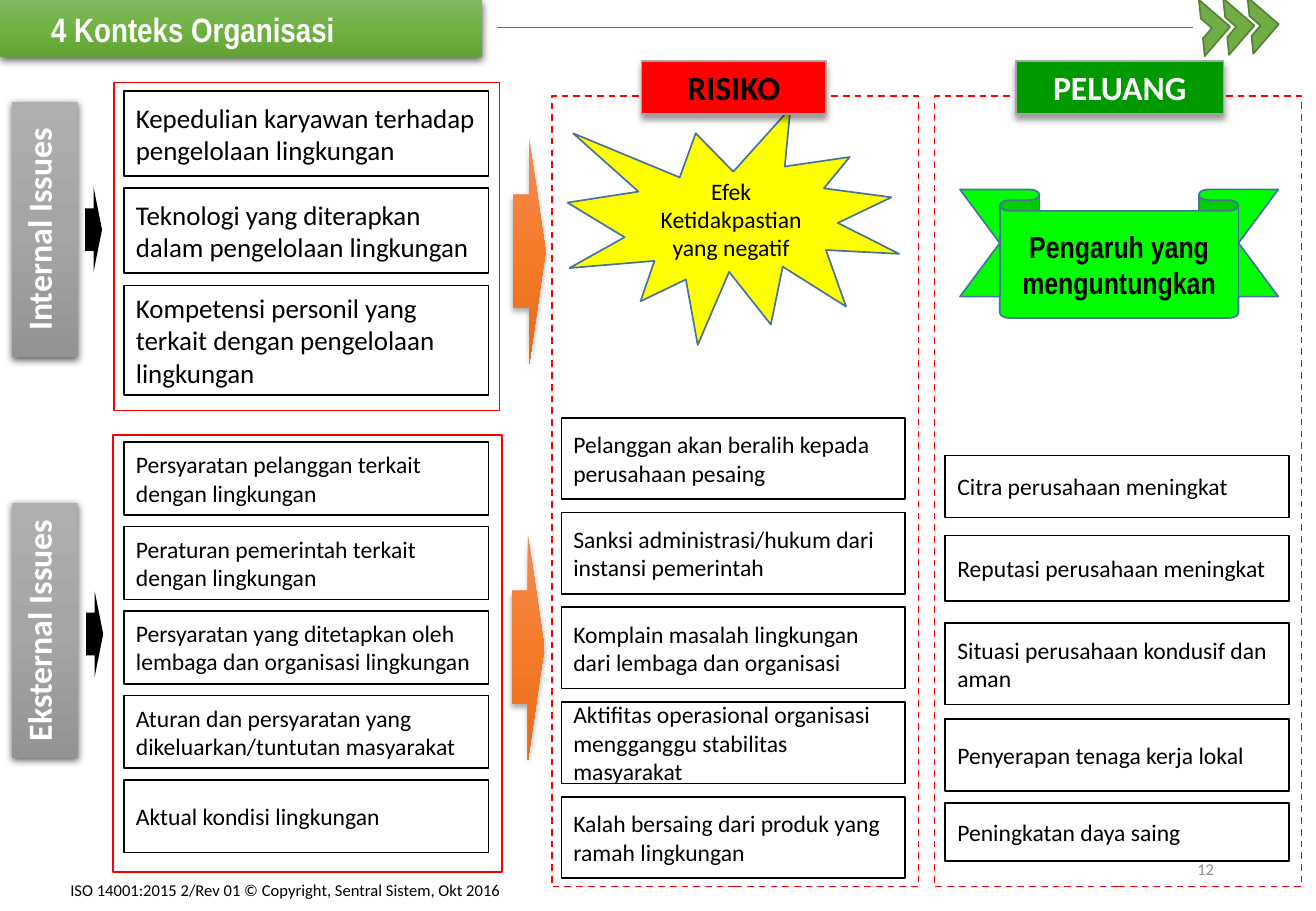
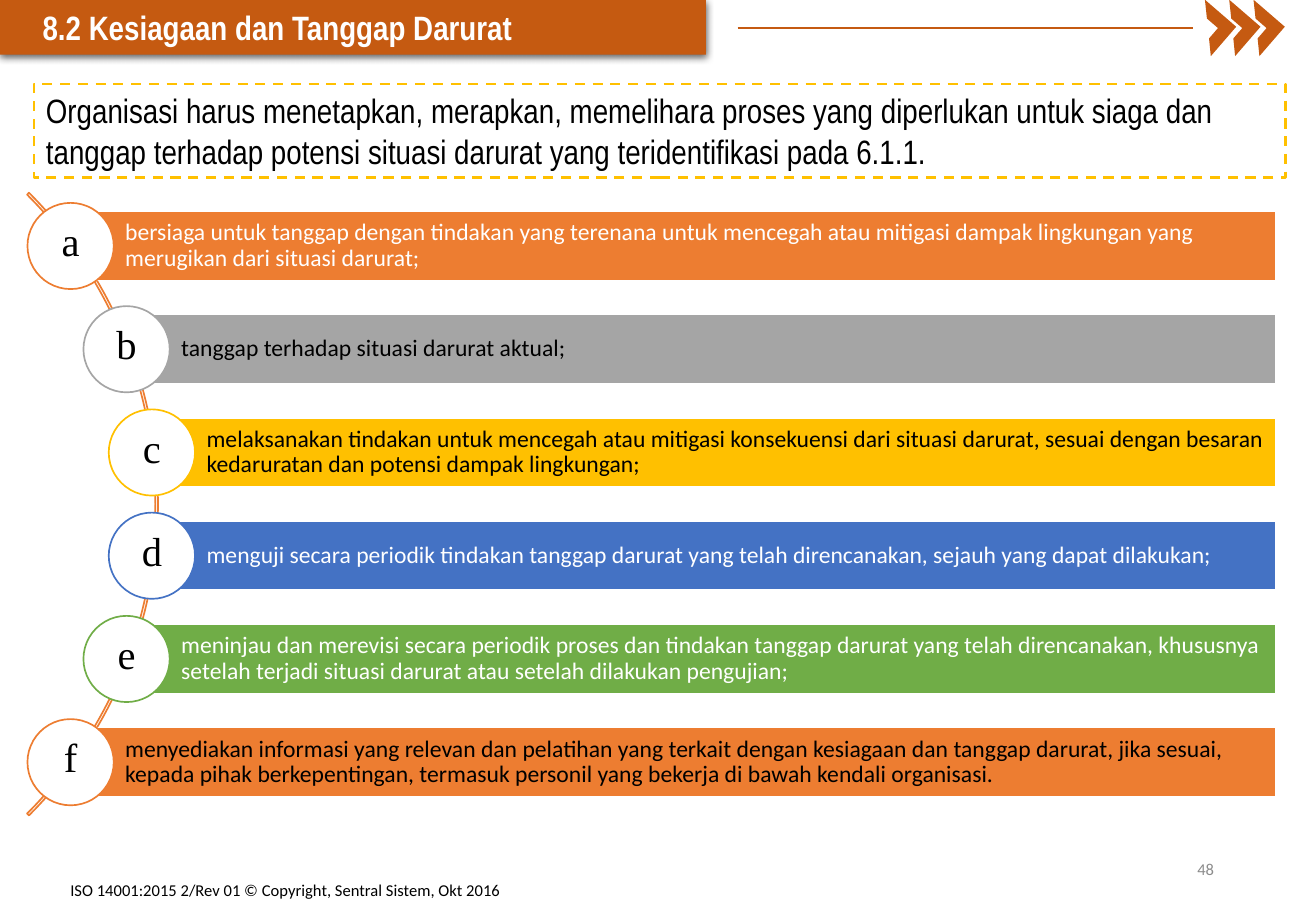
from math import sqrt

from lxml import etree
from pptx import Presentation
from pptx import util as u
from pptx.dml.color import RGBColor
from pptx.enum import dml, shapes, text
from pptx.oxml.ns import qn

Inches, Pt = u.Inches, u.Pt
Kind = shapes.MSO_SHAPE
Side = text.PP_ALIGN
Mid = text.MSO_ANCHOR.MIDDLE
Top = text.MSO_ANCHOR.TOP

WHITE = RGBColor(255, 255, 255)
BLACK = RGBColor(0, 0, 0)
RED = RGBColor(255, 0, 0)
YELLOW = RGBColor(255, 255, 0)
LIME = RGBColor(0, 255, 0)
EMERALD = RGBColor(0, 0x99, 0)
GREEN = RGBColor(0x70, 0xAD, 0x47)
MOSS = RGBColor(0x54, 0x82, 0x35)
RUST = RGBColor(0xC5, 0x5A, 0x11)
ORANGE = RGBColor(0xED, 0x7D, 0x31)
GREY = RGBColor(0xA5, 0xA5, 0xA5)
DIM = RGBColor(0x8C, 0x8C, 0x8C)
GOLD = RGBColor(0xFF, 0xC0, 0)
BLUE = RGBColor(0x44, 0x72, 0xC4)
STEEL = RGBColor(0x43, 0x73, 0x9E)

GREY_FADE = ("AFAFAF", "A5A5A5", "939393")
GREEN_FADE = ("81B861", "6FB242", "62A336")
ORANGE_FADE = ("F18C57", "F67B28", "E56C19")
DEEP = (63, 4.5, 1.5)
SOFT = (32, 3.5, 2.2)
TAG = (40, 4, 3)
NARROW = "Arial Narrow"
SERIF = "Times New Roman"

FOOT = "ISO 14001:2015 2/Rev 01 © Copyright, Sentral Sistem, Okt 2016"

INNER = [
    "Kepedulian karyawan terhadap pengelolaan lingkungan",
    "Teknologi yang diterapkan dalam pengelolaan lingkungan",
    "Kompetensi personil yang terkait dengan pengelolaan lingkungan",
]
OUTER = [
    "Persyaratan pelanggan terkait dengan lingkungan",
    "Peraturan pemerintah terkait dengan lingkungan",
    "Persyaratan yang ditetapkan oleh lembaga dan organisasi lingkungan",
    "Aturan dan persyaratan yang dikeluarkan/tuntutan masyarakat",
    "Aktual kondisi lingkungan",
]
RISKS = [
    "Pelanggan akan beralih kepada perusahaan pesaing",
    "Sanksi administrasi/hukum dari instansi pemerintah",
    "Komplain masalah lingkungan dari lembaga dan organisasi",
    "Aktifitas operasional organisasi mengganggu stabilitas masyarakat",
    "Kalah bersaing dari produk yang ramah lingkungan",
]
CHANCES = [
    "Citra perusahaan meningkat",
    "Reputasi perusahaan meningkat",
    "Situasi perusahaan kondusif dan aman",
    "Penyerapan tenaga kerja lokal",
    "Peningkatan daya saing",
]
DUTY = ("Organisasi harus menetapkan, merapkan, memelihara proses yang diperlukan untuk siaga dan "
        "tanggap terhadap potensi situasi darurat yang teridentifikasi pada 6.1.1.")
STEPS = [
    ("a", ORANGE, WHITE, "bersiaga untuk tanggap dengan tindakan yang terenana untuk mencegah atau "
     "mitigasi dampak lingkungan yang merugikan dari situasi darurat;"),
    ("b", GREY, BLACK, "tanggap terhadap situasi darurat aktual;"),
    ("c", GOLD, BLACK, "melaksanakan tindakan untuk mencegah atau mitigasi konsekuensi dari situasi "
     "darurat, sesuai dengan besaran kedaruratan dan potensi dampak lingkungan;"),
    ("d", BLUE, WHITE, "menguji secara periodik tindakan tanggap darurat yang telah direncanakan, "
     "sejauh yang dapat dilakukan;"),
    ("e", GREEN, WHITE, "meninjau dan merevisi secara periodik proses dan tindakan tanggap darurat "
     "yang telah direncanakan, khususnya setelah terjadi situasi darurat atau setelah dilakukan "
     "pengujian;"),
    ("f", ORANGE, BLACK, "menyediakan informasi yang relevan dan pelatihan yang terkait dengan "
     "kesiagaan dan tanggap darurat, jika sesuai, kepada pihak berkepentingan, termasuk personil "
     "yang bekerja di bawah kendali organisasi."),
]


def put(shape, words, size=14, font="Calibri", color=BLACK, bold=False, align=Side.LEFT,
        anchor=Mid, pad=(0.1, 0.05, 0.1, 0.05), lead=None, wrap=True, turn=False):
    frame = shape.text_frame
    frame.word_wrap = wrap
    frame.auto_size = text.MSO_AUTO_SIZE.NONE
    frame.vertical_anchor = anchor
    (frame.margin_left, frame.margin_top,
     frame.margin_right, frame.margin_bottom) = map(Inches, pad)
    if turn:
        frame._txBody.bodyPr.set("vert", "vert270")
    para = frame.paragraphs[0]
    para.alignment = align
    if lead:
        para.line_spacing = lead
    run = para.add_run()
    run.text = words
    face = run.font
    face.name, face.size, face.bold = font, Pt(size), bold
    face.color.rgb = color


def paint(shape, fill):
    if fill is None:
        shape.fill.background()
    elif isinstance(fill, RGBColor):
        shape.fill.solid()
        shape.fill.fore_color.rgb = fill
    else:
        shape.fill.gradient()
        shape.fill.gradient_angle = 270
        stops = shape._element.spPr.find(".//" + qn("a:gsLst"))
        for old in list(stops):
            stops.remove(old)
        for i, tone in enumerate(fill):
            stop = etree.SubElement(stops, qn("a:gs"), pos=str(i * 50000))
            etree.SubElement(stop, qn("a:srgbClr"), val=tone)


def shade(shape, glow):
    shape.shadow.inherit = False
    if glow:
        alpha, blur, dist = glow
        effect = shape._element.spPr.find(qn("a:effectLst"))
        cast = etree.SubElement(effect, qn("a:outerShdw"), blurRad=str(Pt(blur)),
                                dist=str(Pt(dist)), dir="5400000", rotWithShape="0")
        tone = etree.SubElement(cast, qn("a:srgbClr"), val="000000")
        etree.SubElement(tone, qn("a:alpha"), val=str(alpha * 1000))


def draw(page, kind, spot, fill=None, line=None, width=1, dash=False, glow=None):
    shape = page.shapes.add_shape(kind, *map(Inches, spot))
    paint(shape, fill)
    if line is None:
        shape.line.fill.background()
    else:
        shape.line.color.rgb = line
        shape.line.width = Pt(width)
        if dash:
            shape.line.dash_style = dml.MSO_LINE.DASH
    shade(shape, glow)
    return shape


def label(page, spot, words, **form):
    put(page.shapes.add_textbox(*map(Inches, spot)), words, **form)


def start(deck, words, number, size, indent, fill, rule, marks):
    page = deck.slides.add_slide(deck.slide_layouts[5])
    title = page.shapes.title
    title.left = title.top = 0
    title.width, title.height = map(Inches, size)
    paint(title, fill)
    shade(title, DEEP)
    put(title, words, size=20, font=NARROW, color=WHITE, bold=True,
        pad=(0.1 + indent, 0.05, 0.1, 0.05))
    left, tone, width = rule
    ends = [Inches(n) for n in (left, 0.23, 9.82, 0.23)]
    bar = page.shapes.add_connector(shapes.MSO_CONNECTOR.STRAIGHT, *ends)
    bar.line.color.rgb = tone
    bar.line.width = Pt(width)
    etree.SubElement(bar._element.spPr, qn("a:effectLst"))
    left, rise, tone, edge = marks
    for i in range(3):
        mark = draw(page, Kind.HALF_FRAME, (left + 0.2 * i, 0.06 - rise * i, 0.32, 0.34),
                    tone, edge)
        mark.rotation = 130.8
    label(page, (0.48, 7.23, 5.78, 0.19), FOOT, size=9.8)
    label(page, (7.65, 6.95, 2.44, 0.4), number, size=9.8, color=DIM, align=Side.RIGHT)
    return page


def spread(top, step, count):
    return [top + step * i for i in range(count)]


def context(deck):
    page = start(deck, "4 Konteks Organisasi", "12", (3.97, 0.47), 0.32, GREEN_FADE,
                 (4.09, MOSS, 0.5), (9.73, 0.01, GREEN, MOSS))
    for spot, dash in [((0.94, 0.68, 3.17, 2.7), False), ((0.93, 3.58, 3.2, 3.6), False),
                       ((4.54, 0.79, 3.02, 6.51), True), ((7.69, 0.79, 3.02, 6.51), True)]:
        draw(page, Kind.RECTANGLE, spot, line=RED, dash=dash)

    for words, top, small, big in [("Internal Issues", 0.84, (0.7, 1.54), (4.22, 1.14)),
                                   ("Eksternal Issues", 4.14, (0.71, 4.87), (4.21, 4.4))]:
        band = draw(page, Kind.RECTANGLE, (0.1, top, 0.54, 2.1), GREY_FADE, glow=DEEP)
        put(band, words, size=20, color=WHITE, bold=True, align=Side.CENTER, anchor=Top, turn=True)
        draw(page, Kind.RIGHT_ARROW, (*small, 0.14, 0.7), BLACK)
        draw(page, Kind.RIGHT_ARROW, (*big, 0.27, 1.86), ORANGE_FADE, glow=SOFT)

    stacks = [
        (1.02, 3, 16, spread(0.75, 0.8, 3), [0.7, 0.7, 0.9], INNER),
        (1.02, 3, 14, spread(3.64, 0.695, 5), [0.6] * 5, OUTER),
        (4.62, 2.83, 14, spread(3.44, 0.78, 5), [0.67] * 5, RISKS),
        (7.78, 2.83, 14, [3.75, 4.41, 5.13, 5.92, 6.61], [0.51, 0.54, 0.67, 0.59, 0.48], CHANCES),
    ]
    for left, width, size, tops, highs, items in stacks:
        for top, high, words in zip(tops, highs, items):
            card = draw(page, Kind.RECTANGLE, (left, top, width, high), WHITE, BLACK)
            put(card, words, size=size)

    burst = draw(page, Kind.EXPLOSION1, (4.67, 0.89, 2.73, 1.95), YELLOW, STEEL)
    put(burst, "Efek Ketidakpastian yang negatif", align=Side.CENTER)
    ribbon = draw(page, Kind.DOWN_RIBBON, (7.9, 1.56, 2.62, 1.06), LIME, STEEL)
    ribbon.adjustments[0], ribbon.adjustments[1] = 0.167, 0.75
    put(ribbon, "Pengaruh yang menguntungkan", size=18, font=NARROW, bold=True,
        align=Side.CENTER)
    for words, left, width, fill, color in [("RISIKO", 5.28, 1.52, RED, BLACK),
                                            ("PELUANG", 8.36, 1.71, EMERALD, WHITE)]:
        tag = draw(page, Kind.RECTANGLE, (left, 0.5, width, 0.44), fill, GREY, glow=TAG)
        put(tag, words, size=20, color=color, bold=True, align=Side.CENTER, anchor=Top)


def alert(deck):
    page = start(deck, "8.2 Kesiagaan dan Tanggap Darurat", "48", (5.81, 0.45), 0.25, RUST,
                 (6.07, RUST, 1.5), (9.78, 0, RUST, None))
    duty = draw(page, Kind.RECTANGLE, (0.28, 0.69, 10.3, 0.77), line=GOLD, width=1.5, dash=True)
    put(duty, DUTY, size=20, font=NARROW, anchor=Top)

    mid_x, mid_y, orbit, size = -2.325, 4.15, 3.6, 7.25
    arc = draw(page, Kind.BLOCK_ARC, (mid_x - size / 2, mid_y - size / 2, size, size), line=ORANGE)
    for i, value in enumerate((189, 27, 0.003)):
        arc.adjustments[i] = value

    step, high, disc, right = 0.85, 0.57, 0.71, 10.5
    for i, (letter, tone, color, words) in enumerate(STEPS):
        rise = (i - (len(STEPS) - 1) / 2) * step
        x, y = mid_x + sqrt(orbit ** 2 - rise ** 2), mid_y + rise
        bar = draw(page, Kind.RECTANGLE, (x, y - high / 2, right - x, high), tone, WHITE)
        put(bar, words, color=color, pad=(0.45, 0.04, 0.04, 0.04), lead=0.9)
        dot = draw(page, Kind.OVAL, (x - disc / 2, y - disc / 2, disc, disc), WHITE, tone)
        put(dot, letter, size=24, font=SERIF, align=Side.CENTER, pad=(0, 0, 0, 0.09), wrap=False)


def main():
    deck = Presentation()
    deck.slide_width, deck.slide_height = Inches(10.83), Inches(7.5)
    context(deck)
    alert(deck)
    deck.save("out.pptx")


if __name__ == "__main__":
    main()
